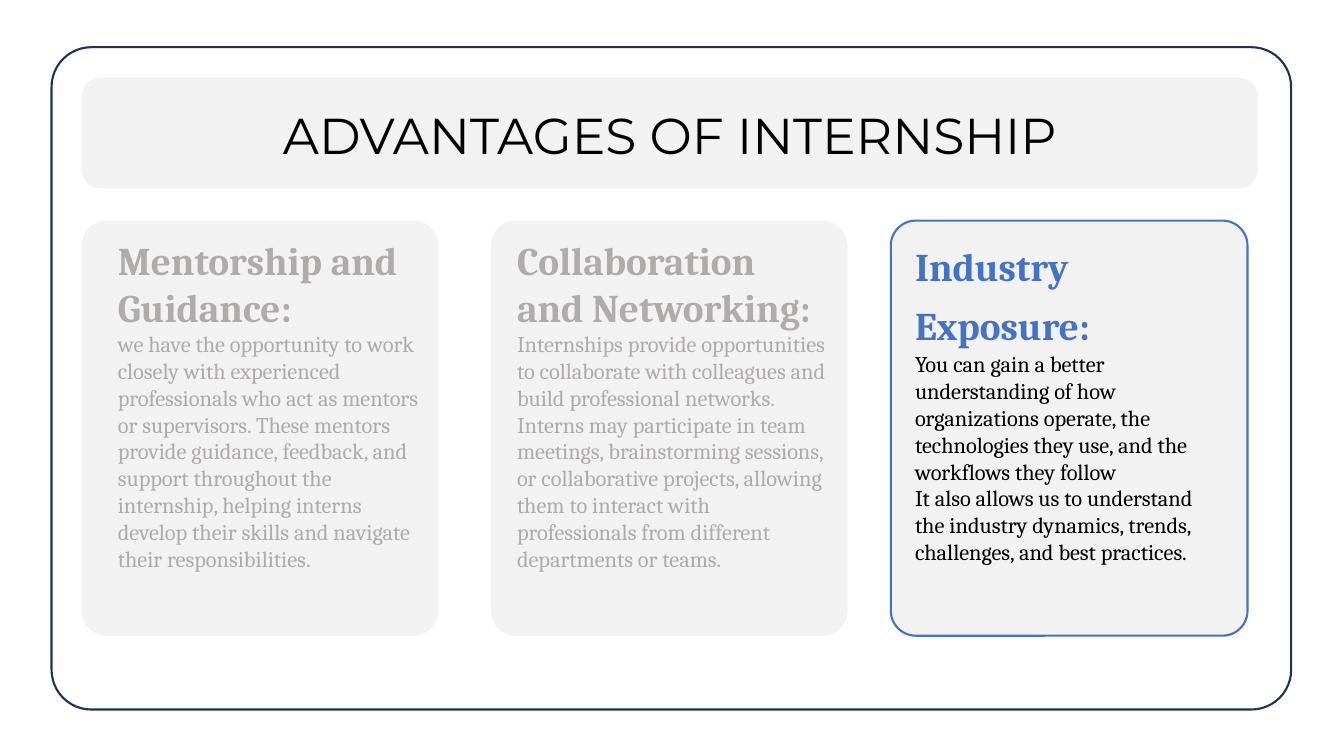
from dataclasses import dataclass

from pptx import Presentation
from pptx import util as u
from pptx.dml.color import RGBColor
from pptx.enum import shapes, text


@dataclass(frozen=True)
class Theme:
    panel: str = "F2F2F2"
    frame: str = "1E3256"
    accent: str = "4472C4"
    muted: str = "AFABAB"
    ink: str = "000000"
    title_font: str = "Montserrat"
    body_font: str = "Cambria"
    title_size: int = 36
    heading_size: int = 28
    spacer_size: int = 20
    body_size: int = 16
    line_width: float = 1.5


def apply(target, values):
    for name, value in values.items():
        setattr(target, name, value)


class SlideBuilder:
    def __init__(self, presentation, theme):
        self.theme = theme
        self.slide = presentation.slides.add_slide(presentation.slide_layouts[5])

    def panel(self, box, radius, fill=None, line=None):
        shape = self.slide.shapes.add_shape(
            shapes.MSO_SHAPE.ROUNDED_RECTANGLE, *map(u.Cm, box))
        shape.adjustments[0] = radius
        shape.shadow.inherit = False
        if fill:
            shape.fill.solid()
            shape.fill.fore_color.rgb = RGBColor.from_string(fill)
        else:
            shape.fill.background()
        if line:
            shape.line.color.rgb = RGBColor.from_string(line)
            shape.line.width = u.Pt(self.theme.line_width)
        else:
            shape.line.fill.background()

    def run(self, paragraph, words, font, size, color, bold=False):
        run = paragraph.add_run()
        run.text = words
        apply(run.font, {"name": font, "size": u.Pt(size), "bold": bold})
        run.font.color.rgb = RGBColor.from_string(color)

    def title(self, box, words):
        title = self.slide.shapes.title
        apply(title, dict(zip(("left", "top", "width", "height"), map(u.Cm, box))))
        apply(title.text_frame, {
            "word_wrap": True,
            "auto_size": text.MSO_AUTO_SIZE.NONE,
            "vertical_anchor": text.MSO_ANCHOR.TOP,
        })
        paragraph = title.text_frame.paragraphs[0]
        paragraph.alignment = text.PP_ALIGN.CENTER
        self.run(paragraph, words, self.theme.title_font,
                 self.theme.title_size, self.theme.ink)
        self.slide.shapes.element.append(title.element)

    def story(self, box, paragraphs):
        frame = self.slide.shapes.add_textbox(*map(u.Cm, box)).text_frame
        apply(frame, {
            "word_wrap": True,
            "auto_size": text.MSO_AUTO_SIZE.SHAPE_TO_FIT_TEXT,
        })
        for index, runs in enumerate(paragraphs):
            paragraph = frame.add_paragraph() if index else frame.paragraphs[0]
            for words, size, color, bold in runs:
                self.run(paragraph, words, self.theme.body_font, size, color, bold)


def main():
    theme = Theme()
    presentation = Presentation()
    apply(presentation, {"slide_width": u.Cm(33.87), "slide_height": u.Cm(19.05)})
    builder = SlideBuilder(presentation, theme)

    def heading(words, color):
        return words, theme.heading_size, color, True

    def body(words, color):
        return words, theme.body_size, color, False

    mentorship = [
        [heading("Mentorship and Guidance:", theme.muted)],
        [body("we have the opportunity to work closely with experienced professionals "
              "who act as mentors or supervisors. These mentors provide guidance, "
              "feedback, and support throughout the internship, helping interns develop "
              "their skills and navigate their responsibilities.", theme.muted)],
    ]
    collaboration = [[
        heading("Collaboration and Networking:", theme.muted),
        (" ", theme.spacer_size, theme.muted, False),
        body("Internships provide opportunities to collaborate with colleagues and build "
             "professional networks. Interns may participate in team meetings, "
             "brainstorming sessions, or collaborative projects, allowing them to "
             "interact with professionals from different departments or teams.",
             theme.muted),
    ]]
    industry = [
        [heading("Industry Exposure:", theme.accent),
         (" ", theme.title_size, theme.accent, True)],
        [body("You can gain a better understanding of how organizations operate, the "
              "technologies they use, and the workflows they follow", theme.ink)],
        [body("It also allows us to understand the industry dynamics, trends, "
              "challenges, and best practices.", theme.ink)],
    ]
    cards = [
        (2.06, None, (2.72, 5.82, 8.33, 9.65), mentorship),
        (12.37, None, (12.78, 5.82, 8.33, 9.5), collaboration),
        (22.45, theme.accent, (22.81, 5.99, 7.6, 9.14), industry),
    ]

    builder.panel((1.3, 1.19, 31.24, 16.69), 0.06, line=theme.frame)
    builder.panel((2.06, 1.96, 29.64, 2.79), 0.17, fill=theme.panel)
    builder.title((2.67, 2.49, 28.42, 1.8), "ADVANTAGES OF INTERNSHIP")
    for left, line, text_box, paragraphs in cards:
        builder.panel((left, 5.56, 8.99, 10.46), 0.07, theme.panel, line)
        builder.story(text_box, paragraphs)

    presentation.save("out.pptx")


if __name__ == "__main__":
    main()
